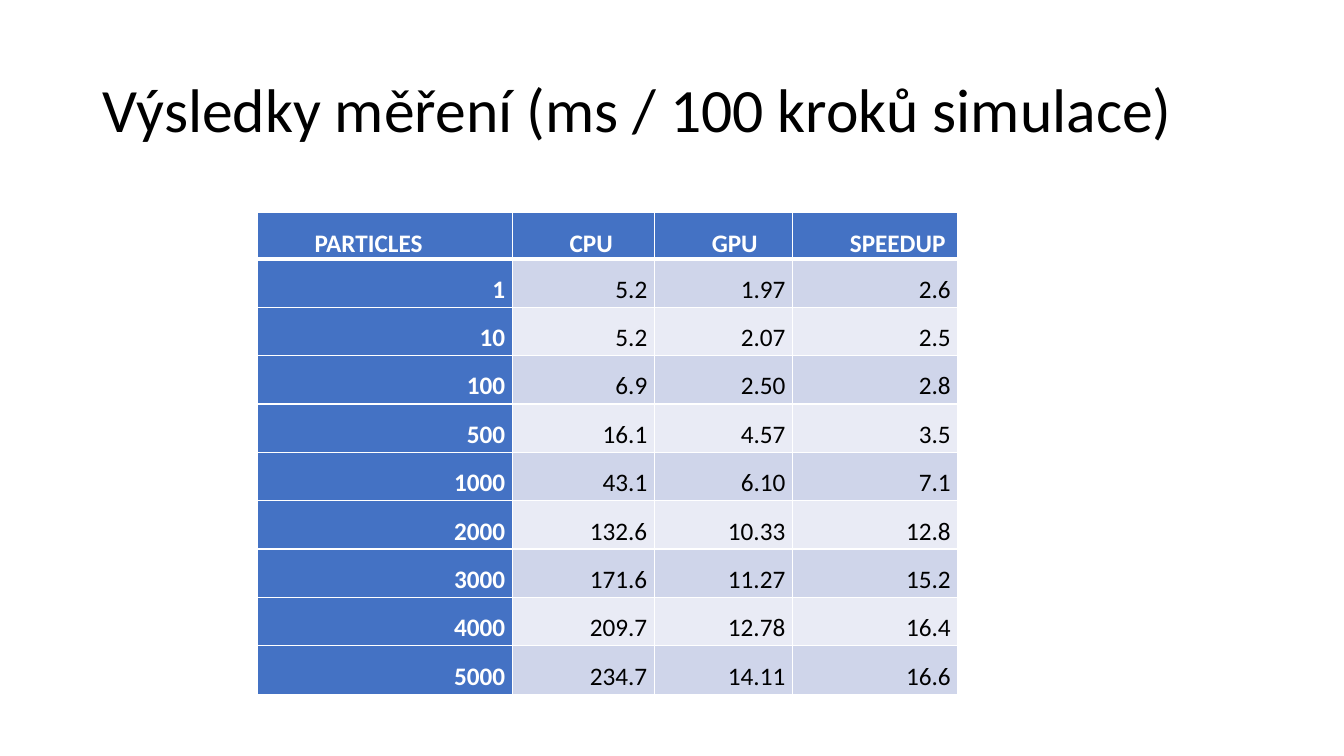
from dataclasses import dataclass

from lxml.etree import SubElement
from pptx import Presentation
from pptx.dml.color import RGBColor
from pptx.enum.text import MSO_ANCHOR, MSO_AUTO_SIZE, PP_ALIGN
from pptx.oxml.ns import qn
from pptx.util import Inches, Pt


@dataclass(frozen=True)
class Theme:
    font: str = "Calibri"
    title_size: int = 44
    table_size: int = 18
    ink: str = "000000"
    paper: str = "FFFFFF"
    accent: str = "4472C4"
    bands: tuple = ("CFD5EA", "E9EBF5")
    rule: int = 1
    header_rule: int = 3


THEME = Theme()
SLIDE_WIDTH, SLIDE_HEIGHT = Inches(13.33), Inches(7.5)
TITLE_AREA = (0.069, 0.053, 0.863, 0.193)
TABLE_CORNER = (0.1913, 0.2813)
COLUMN_WIDTHS = (2.53, 1.41, 1.37, 1.64)
HEADER_HEIGHT, ROW_HEIGHT = 0.44, 0.48

TITLE = "Výsledky měření (ms / 100 kroků simulace)"
HEADINGS = ("PARTICLES", "CPU", "GPU", "SPEEDUP")
MEASUREMENTS = (
    ("1", "5.2", "1.97", "2.6"),
    ("10", "5.2", "2.07", "2.5"),
    ("100", "6.9", "2.50", "2.8"),
    ("500", "16.1", "4.57", "3.5"),
    ("1000", "43.1", "6.10", "7.1"),
    ("2000", "132.6", "10.33", "12.8"),
    ("3000", "171.6", "11.27", "15.2"),
    ("4000", "209.7", "12.78", "16.4"),
    ("5000", "234.7", "14.11", "16.6"),
)


def format_runs(paragraph, size, color, bold=False):
    for run in paragraph.runs:
        run.font.name = THEME.font
        run.font.size = Pt(size)
        run.font.bold = bold
        run.font.color.rgb = RGBColor.from_string(color)


def add_title(slide):
    title = slide.shapes.title
    left, top, width, height = TITLE_AREA
    title.left, title.width = int(left * SLIDE_WIDTH), int(width * SLIDE_WIDTH)
    title.top, title.height = int(top * SLIDE_HEIGHT), int(height * SLIDE_HEIGHT)
    frame = title.text_frame
    frame.text = TITLE
    frame.word_wrap = True
    frame.auto_size = MSO_AUTO_SIZE.NONE
    frame.vertical_anchor = MSO_ANCHOR.MIDDLE
    heading = frame.paragraphs[0]
    heading.alignment = PP_ALIGN.LEFT
    heading.line_spacing = 0.9
    format_runs(heading, THEME.title_size, THEME.ink)


def add_borders(cell, row):
    top = THEME.header_rule if row == 1 else THEME.rule
    bottom = THEME.header_rule if row == 0 else THEME.rule
    edges = {"a:lnL": THEME.rule, "a:lnR": THEME.rule, "a:lnT": top, "a:lnB": bottom}
    properties = cell._tc.get_or_add_tcPr()
    for edge, weight in edges.items():
        line = SubElement(properties, qn(edge), w=str(Pt(weight)))
        SubElement(SubElement(line, qn("a:solidFill")), qn("a:srgbClr"), val=THEME.paper)


def fill_cell(cell, text, row, column):
    is_label = row == 0 or column == 0
    add_borders(cell, row)
    cell.fill.solid()
    fill = THEME.accent if is_label else THEME.bands[(row - 1) % 2]
    cell.fill.fore_color.rgb = RGBColor.from_string(fill)
    cell.margin_left = cell.margin_right = Inches(0.07)
    cell.margin_top = cell.margin_bottom = 0
    cell.text_frame.text = text
    entry = cell.text_frame.paragraphs[0]
    entry.alignment = PP_ALIGN.JUSTIFY if row == 0 else PP_ALIGN.RIGHT
    entry.line_spacing = 1.5
    entry.space_after = Pt(6)
    indent = entry._p.get_or_add_pPr()
    indent.set("marL", "0")
    indent.set("indent", str(Inches(0.5)))
    format_runs(entry, THEME.table_size, THEME.paper if is_label else THEME.ink, is_label)


def add_results(slide):
    entries = (HEADINGS,) + MEASUREMENTS
    heights = [HEADER_HEIGHT] + [ROW_HEIGHT] * len(MEASUREMENTS)
    left, top = TABLE_CORNER
    results = slide.shapes.add_table(
        len(entries), len(HEADINGS),
        int(left * SLIDE_WIDTH), int(top * SLIDE_HEIGHT),
        Inches(sum(COLUMN_WIDTHS)), Inches(sum(heights)),
    ).table
    results.first_col = True
    for column, width in zip(results.columns, COLUMN_WIDTHS):
        column.width = Inches(width)
    for row, height in zip(results.rows, heights):
        row.height = Inches(height)
    for row, values in enumerate(entries):
        for column, value in enumerate(values):
            fill_cell(results.cell(row, column), value, row, column)


def main():
    presentation = Presentation()
    presentation.slide_width, presentation.slide_height = SLIDE_WIDTH, SLIDE_HEIGHT
    slide = presentation.slides.add_slide(presentation.slide_layouts.get_by_name("Title Only"))
    add_title(slide)
    add_results(slide)
    presentation.save("out.pptx")


if __name__ == "__main__":
    main()
